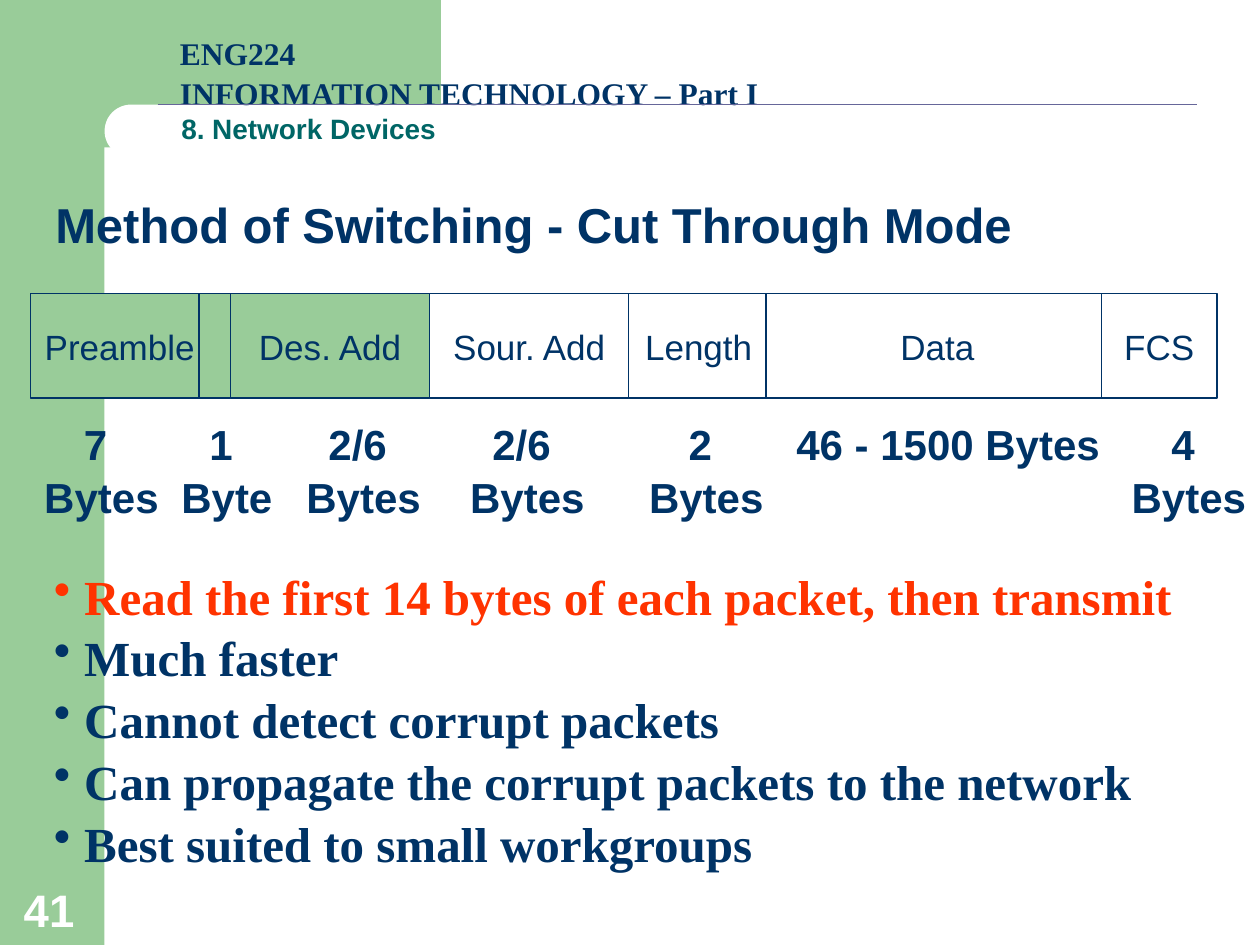
from dataclasses import dataclass

from lxml import etree
from pptx import Presentation
from pptx.dml.color import RGBColor
from pptx.enum.shapes import MSO_CONNECTOR, MSO_SHAPE
from pptx.enum.text import MSO_ANCHOR, PP_ALIGN
from pptx.oxml.ns import qn
from pptx.util import Inches, Pt

RECTANGLE, ROUNDED = MSO_SHAPE.RECTANGLE, MSO_SHAPE.ROUNDED_RECTANGLE
STRAIGHT = MSO_CONNECTOR.STRAIGHT
TOP, MIDDLE, BOTTOM = MSO_ANCHOR.TOP, MSO_ANCHOR.MIDDLE, MSO_ANCHOR.BOTTOM
LEFT, CENTER = PP_ALIGN.LEFT, PP_ALIGN.CENTER


@dataclass(frozen=True)
class Theme:
    green: str = "99CC99"
    navy: str = "003366"
    teal: str = "006666"
    red: str = "FF3300"
    rule: str = "666699"
    white: str = "FFFFFF"
    sans: str = "Arial"
    serif: str = "Times New Roman"
    title: float = 28
    number: float = 26
    size_label: float = 24
    field: float = 20
    course: float = 18
    chapter: float = 16
    line_spacing: float = 1.05


THEME = Theme()


@dataclass(frozen=True)
class Field:
    """One field of the frame, with its size label below."""
    name: str
    left: float
    width: float
    fill: str
    size: str
    size_left: float
    size_width: float = 1.11


FIELDS = [
    Field("Preamble", 0.24, 1.42, THEME.green, "7 \nBytes", 0.25),
    Field("", 1.58, 0.25, THEME.green, "1 \nByte", 1.34, 0.92),
    Field("Des. Add", 1.83, 1.58, THEME.green, "2/6 \nBytes", 2.33),
    Field("Sour. Add", 3.41, 1.58, THEME.white, "2/6 \nBytes", 3.63),
    Field("Length", 4.99, 1.11, THEME.white, "2 \nBytes", 5.05),
    Field("Data", 6.08, 2.72, THEME.white, "46 - 1500 Bytes", 6.22, 2.61),
    Field("FCS", 8.74, 0.92, THEME.white, "4 \nBytes", 8.88),
]
FIELD_TOP, FIELD_HEIGHT, SIZE_TOP = 2.33, 0.83, 3.25

POINTS = [
    "Read the first 14 bytes of each packet, then transmit",
    "Much faster",
    "Cannot detect corrupt packets",
    "Can propagate the corrupt packets to the network",
    "Best suited to small workgroups",
]


def rgb(color: str) -> RGBColor:
    return RGBColor.from_string(color)


def add_bullet(para, color: str) -> None:
    properties = para._p.get_or_add_pPr()
    properties.set("marL", str(Inches(0.24)))
    properties.set("indent", str(-Inches(0.24)))
    bullet_color = etree.SubElement(properties, qn("a:buClr"))
    etree.SubElement(bullet_color, qn("a:srgbClr"), val=color)
    etree.SubElement(properties, qn("a:buChar"), char="•")


def write(frame, text: str, *, size: float, color: str = THEME.navy,
          font: str = THEME.sans, bold: bool = True, align=LEFT, anchor=TOP,
          wrap: bool = False, bullets: bool = False,
          first_color: str = "") -> None:
    """Fill a text frame, one paragraph for each line of text."""
    frame.word_wrap = wrap
    frame.vertical_anchor = anchor
    for index, line in enumerate(text.split("\n")):
        para = frame.add_paragraph() if index else frame.paragraphs[0]
        para_color = first_color if first_color and not index else color
        para.alignment = align
        para.line_spacing = THEME.line_spacing
        if bullets:
            add_bullet(para, para_color)
        span = para.add_run()
        span.text = line
        span.font.size, span.font.name, span.font.bold = Pt(size), font, bold
        span.font.color.rgb = rgb(para_color)


def add_text(page, text: str, left: float, top: float, width: float,
             height: float, **style) -> None:
    box = page.shapes.add_textbox(Inches(left), Inches(top), Inches(width), Inches(height))
    write(box.text_frame, text, **style)


def add_block(page, left: float, top: float, width: float, height: float,
              fill: str, kind=RECTANGLE, outlined: bool = False):
    block = page.shapes.add_shape(kind, Inches(left), Inches(top),
                                  Inches(width), Inches(height))
    block.shadow.inherit = False
    block.fill.solid()
    block.fill.fore_color.rgb = rgb(fill)
    if outlined:
        block.line.color.rgb = rgb(THEME.navy)
        block.line.width = Pt(0.75)
    else:
        block.line.fill.background()
    return block


def add_rule(page, left: float, right: float, top: float) -> None:
    rule = page.shapes.add_connector(STRAIGHT, Inches(left), Inches(top),
                                     Inches(right), Inches(top))
    rule.line.color.rgb = rgb(THEME.rule)
    rule.line.width = Pt(0.75)
    etree.SubElement(rule._element.spPr, qn("a:effectLst"))


def add_field(page, field: Field) -> None:
    block = add_block(page, field.left, FIELD_TOP, field.width, FIELD_HEIGHT,
                      field.fill, outlined=True)
    if field.name:
        write(block.text_frame, field.name, size=THEME.field, bold=False,
              align=CENTER, anchor=MIDDLE)
    add_text(page, field.size, field.size_left, SIZE_TOP, field.size_width,
             0.1 + 0.4 * len(field.size.split("\n")), size=THEME.size_label, align=CENTER)


def main() -> None:
    deck = Presentation()
    deck.slide_width, deck.slide_height = Inches(10), Inches(7.5)
    page = deck.slides.add_slide(deck.slide_layouts[6])

    # Background bands and rounded corner
    add_block(page, 0, 0, 0.83, 7.5, THEME.green)
    add_block(page, 0.75, 0, 2.75, 1.17, THEME.green)
    corner = add_block(page, 0.83, 0.83, 7.08, 0.42, THEME.white, ROUNDED)
    corner.adjustments[0] = 0.5

    # Slide number and title
    add_text(page, "41", 0.09, 6.94, 0.64, 0.54, size=THEME.number,
             color=THEME.white, anchor=BOTTOM, wrap=True)
    add_text(page, "Method of Switching - Cut Through Mode", 0.34, 1.47, 7.79, 0.57,
             size=THEME.title)

    # Frame fields; the narrow one overlaps the preamble
    for field in FIELDS:
        add_field(page, field)

    # Points
    add_text(page, "\n".join(POINTS), 0.33, 4.42, 9.42, 2.44, size=THEME.title,
             font=THEME.serif, wrap=True, bullets=True, first_color=THEME.red)

    # Course header
    add_text(page, "ENG224\nINFORMATION TECHNOLOGY – Part I", 1.33, 0.22, 6.08, 0.7,
             size=THEME.course, font=THEME.serif, anchor=MIDDLE, wrap=True)
    add_rule(page, 1.25, 9.5, 0.83)
    add_text(page, "8. Network Devices", 1.34, 0.83, 2.22, 0.37, size=THEME.chapter,
             color=THEME.teal, anchor=MIDDLE)

    deck.save("out.pptx")


if __name__ == "__main__":
    main()
